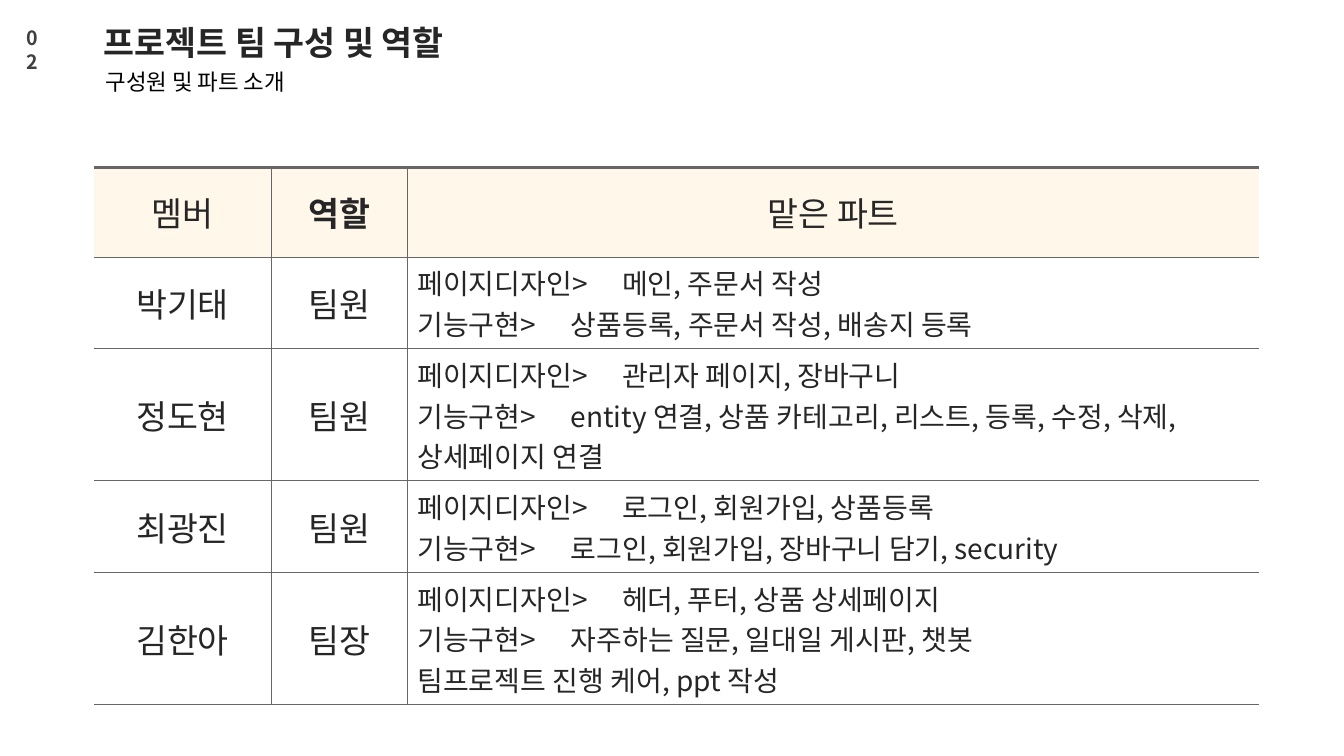
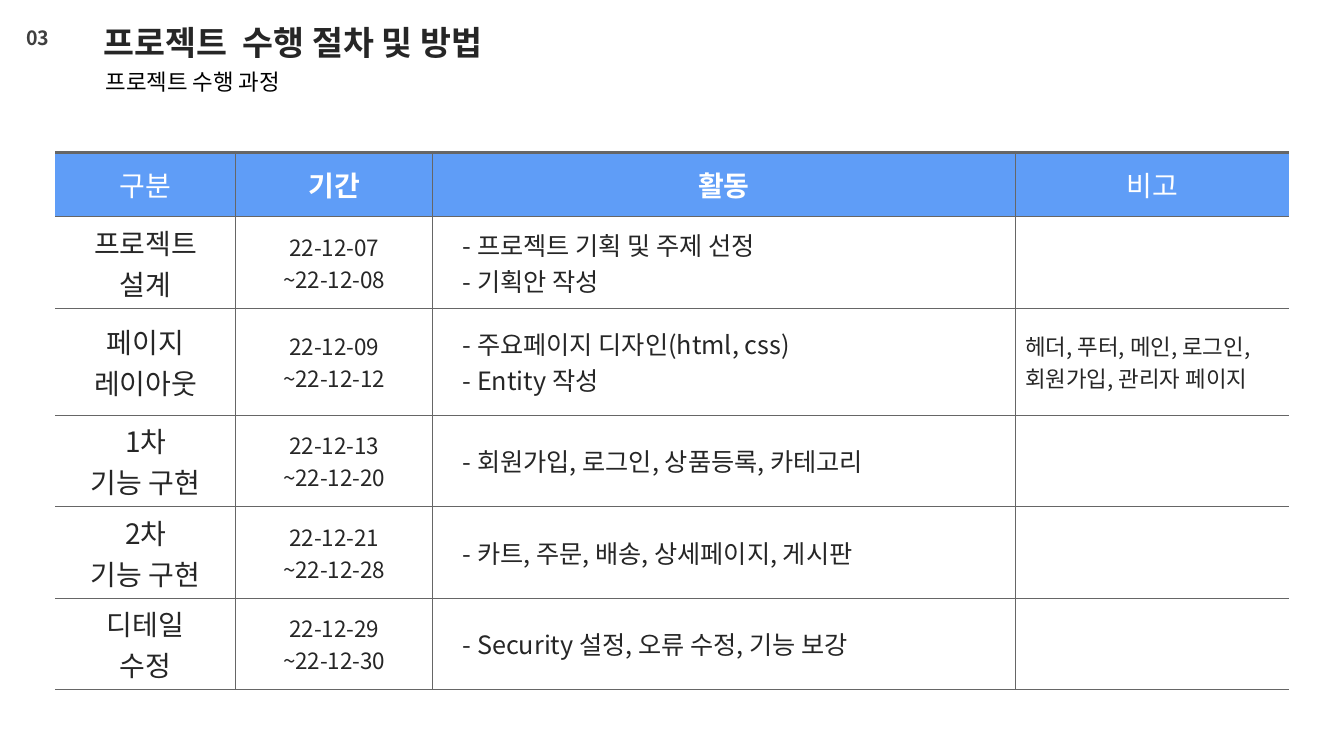
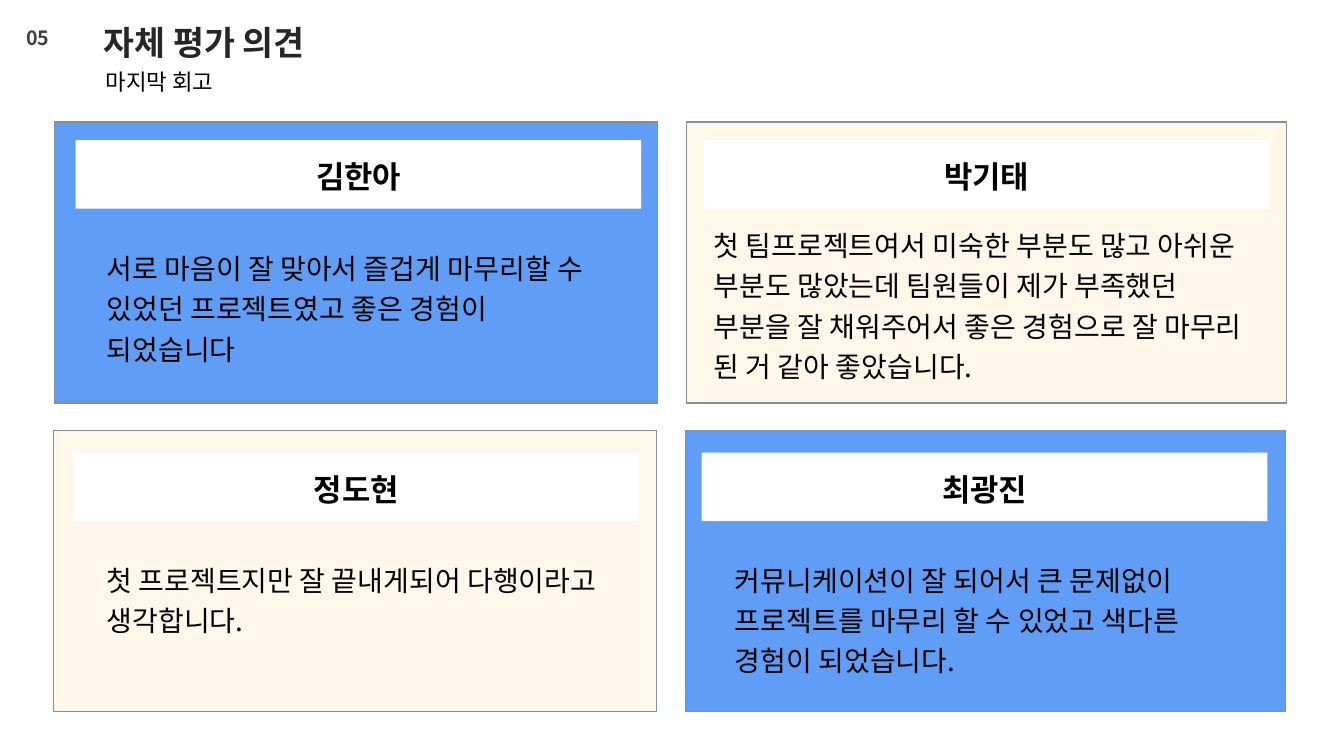
from collections import namedtuple

from lxml.etree import SubElement
from pptx import Presentation
from pptx.dml.color import RGBColor
from pptx.enum.shapes import MSO_SHAPE
from pptx.enum.text import MSO_ANCHOR, MSO_AUTO_SIZE, PP_ALIGN
from pptx.oxml.ns import qn
from pptx.util import Inches, Pt

COLOURS = {
    "blue": "5F9DF7",
    "cream": "FFF7E9",
    "white": "FFFFFF",
    "black": "000000",
    "ink": "262626",
    "grey": "3F3F3F",
    "rule": "666666",
    "frame": "83909A",
}
FONT = "Noto Sans CJK KR"
WIDTH, HEIGHT = Inches(13.33), Inches(7.5)
COLUMN, ROW = Inches(1) / 3, Inches(0.25)
LEFT, CENTRE = PP_ALIGN.LEFT, PP_ALIGN.CENTER

Box = namedtuple("Box", "left top width height")
Style = namedtuple("Style", "size colour bold align spacing", defaults=(False, LEFT, 1.0))

NUMBER = Style(14, "grey", True)
TITLE = Style(24, "ink", True)
SUBTITLE = Style(16, "black")
NAME = Style(22, "black", True, CENTRE)
COMMENT = Style(20, "black", spacing=1.2)


def colour(name):
    return RGBColor.from_string(COLOURS[name])


def place(box):
    return (round(box.left * COLUMN), round(box.top * ROW),
            round(box.width * COLUMN), round(box.height * ROW))


def inside(box, left, top, width, height):
    return Box(box.left + left, box.top + top, width, height)


def write(frame, lines, style, indent=0, tabs=()):
    frame.text = "\n".join(lines)
    for para in frame.paragraphs:
        properties = para._p.get_or_add_pPr()
        if indent:
            properties.set("marL", str(Inches(indent)))
            properties.set("indent", "0")
        para.alignment, para.line_spacing = style.align, style.spacing
        if tabs:
            stops = SubElement(properties, qn("a:tabLst"))
            for stop in tabs:
                SubElement(stops, qn("a:tab"), pos=str(Inches(stop)), algn="l")
        for span in para.runs:
            values = {"size": Pt(style.size), "bold": style.bold, "name": FONT}
            for key, value in values.items():
                setattr(span.font, key, value)
            span.font.color.rgb = colour(style.colour)
            span_properties = span._r.get_or_add_rPr()
            span_properties.set("kern", "0")
            SubElement(span_properties, qn("a:ea"), typeface=FONT)


def add_text(page, box, words, style):
    label = page.shapes.add_textbox(*place(box))
    label.text_frame.word_wrap = True
    write(label.text_frame, [words], style)


def add_panel(page, box, fill, line=None):
    panel = page.shapes.add_shape(MSO_SHAPE.RECTANGLE, *place(box))
    panel.shadow.inherit = False
    panel.fill.solid()
    panel.fill.fore_color.rgb = colour(fill)
    if line:
        panel.line.color.rgb = colour(line)
        panel.line.width = Pt(1)
    else:
        panel.line.fill.background()
    return panel


def add_page(deck, number, title, subtitle, number_box, title_width, subtitle_width):
    page = deck.slides.add_slide(deck.slide_layouts[5])
    heading = page.shapes.title
    values = dict(zip(("left", "top", "width", "height"),
                      place(Box(2.79, 0.68, title_width, 2))))
    for key, value in values.items():
        setattr(heading, key, value)
    frame = heading.text_frame
    values = {"auto_size": MSO_AUTO_SIZE.NONE, "vertical_anchor": MSO_ANCHOR.TOP,
              "word_wrap": True}
    for key, value in values.items():
        setattr(frame, key, value)
    write(frame, [title], TITLE)
    add_text(page, number_box, number, NUMBER)
    add_text(page, Box(2.85, 2.52, subtitle_width, 1.48), subtitle, SUBTITLE)
    return page


def add_borders(cell, widths):
    properties = cell._tc.get_or_add_tcPr()
    for index, (side, width) in enumerate(widths.items()):
        line = SubElement(properties, qn("a:ln" + side), w=str(Pt(width)))
        if width:
            fill = SubElement(line, qn("a:solidFill"))
            SubElement(fill, qn("a:srgbClr"), val=COLOURS["rule"])
        else:
            SubElement(line, qn("a:noFill"))
        properties.insert(index, line)


def add_grid(page, left, top, widths, heights, rows, header_fill, header, styles, formats):
    box = Box(left, top, sum(widths), sum(heights))
    table = page.shapes.add_table(len(rows), len(widths), *place(box)).table
    table.first_row = table.horz_banding = False
    for column, width in zip(table.columns, widths):
        column.width = round(width * COLUMN)
    for row, height in zip(table.rows, heights):
        row.height = round(height * ROW)
    last = len(widths) - 1
    for r, row in enumerate(rows):
        for c, words in enumerate(row):
            cell = table.cell(r, c)
            cell.vertical_anchor = MSO_ANCHOR.MIDDLE
            cell.fill.solid()
            cell.fill.fore_color.rgb = colour("white" if r else header_fill)
            add_borders(cell, {"L": 0.75 if c else 0, "R": 0.75 if c < last else 0,
                               "T": 0.75 if r else 2.25, "B": 0.75})
            if r:
                write(cell.text_frame, words.split("\n"), styles[c], **formats.get(c, {}))
            else:
                write(cell.text_frame, [words], header._replace(bold=0 < c < last))


def add_review(page, box, fill, name, words, band_offset, comment_offset, comment_size):
    add_panel(page, box, fill, "frame")
    band = add_panel(page, inside(box, *band_offset, 16.83, 2.72), "white")
    band.text_frame.margin_top = Inches(0.09)
    band.text_frame.vertical_anchor = MSO_ANCHOR.MIDDLE
    write(band.text_frame, [name], NAME)
    add_text(page, inside(box, *comment_offset, *comment_size), words, COMMENT)


def build_team(deck):
    page = add_page(deck, "02", "프로젝트 팀 구성 및 역할", "구성원 및 파트 소개",
                    Box(0.48, 0.84, 1.26, 2.28), 10.98, 9.03)
    rows = [
        ("멤버", "역할", "맡은 파트"),
        ("박기태", "팀원", "페이지디자인>\t메인, 주문서 작성\n"
                        "기능구현>\t상품등록, 주문서 작성, 배송지 등록"),
        ("정도현", "팀원", "페이지디자인>\t관리자 페이지, 장바구니\n"
                        "기능구현>\tentity 연결, 상품 카테고리, 리스트, 등록, 수정, 삭제, 상세페이지 연결"),
        ("최광진", "팀원", "페이지디자인>\t로그인, 회원가입, 상품등록\n"
                        "기능구현>\t로그인, 회원가입, 장바구니 담기, security"),
        ("김한아", "팀장", "페이지디자인>\t헤더, 푸터, 상품 상세페이지\n"
                        "기능구현>\t자주하는 질문, 일대일 게시판, 챗봇\n"
                        "팀프로젝트 진행 케어, ppt 작성"),
    ]
    member = Style(24, "ink", align=CENTRE)
    two_lines, three_lines = 3.64, 5.24
    heights = [3.56] + [two_lines, three_lines] * 2
    add_grid(page, 2.79, 6.64, [5.28, 4.05, 25.35], heights, rows, "cream", member,
             [member, member, Style(20, "ink")], {2: {"tabs": (1.52, 2.03)}})


def build_schedule(deck):
    page = add_page(deck, "03", "프로젝트  수행 절차 및 방법", "프로젝트 수행 과정",
                    Box(0.48, 0.84, 2.37, 1.36), 12.9, 9.03)
    rows = [
        ("구분", "기간", "활동", "비고"),
        ("프로젝트 설계", "22-12-07\n~22-12-08", "- 프로젝트 기획 및 주제 선정\n- 기획안 작성", ""),
        ("페이지\n레이아웃", "22-12-09\n~22-12-12", "- 주요페이지 디자인(html, css)\n- Entity 작성",
         "헤더, 푸터, 메인, 로그인,\n회원가입, 관리자 페이지"),
        ("1차\n기능 구현", "22-12-13\n~22-12-20", "- 회원가입, 로그인, 상품등록, 카테고리", ""),
        ("2차\n기능 구현", "22-12-21\n~22-12-28", "- 카트, 주문, 배송, 상세페이지, 게시판", ""),
        ("디테일\n수정", "22-12-29\n~22-12-30", "- Security 설정, 오류 수정, 기능 보강", ""),
    ]
    styles = [Style(20, "ink", align=CENTRE), Style(16, "ink", align=CENTRE),
              Style(18, "ink"), Style(16, "ink")]
    heights = [2.56, 3.63, 4.25] + [3.63] * 3
    add_grid(page, 1.65, 6.04, [5.37, 5.85, 17.34, 8.16], heights, rows,
             "blue", Style(20, "white", align=CENTRE), styles, {2: {"indent": 0.2}})


def build_reviews(deck):
    page = add_page(deck, "05", "자체 평가 의견", "마지막 회고",
                    Box(0.48, 0.84, 2.34, 1.36), 7.86, 17.97)
    reviews = [
        ("blue", "김한아", "서로 마음이 잘 맞아서 즐겁게 마무리할 수 있었던 프로젝트였고 좋은 경험이 되었습니다",
         (1.26, 4.68), (15.48, 5.24)),
        ("cream", "박기태", "첫 팀프로젝트여서 미숙한 부분도 많고 아쉬운 부분도 많았는데 팀원들이 제가 부족했던 "
         "부분을 잘 채워주어서 좋은 경험으로 잘 마무리 된 거 같아 좋았습니다.",
         (0.51, 3.76), (16.77, 8.48)),
        ("cream", "정도현", "첫 프로젝트지만 잘 끝내게되어 다행이라고 생각합니다.",
         (1.29, 4.8), (15.48, 3.64)),
        ("blue", "최광진", "커뮤니케이션이 잘 되어서 큰 문제없이 프로젝트를 마무리 할 수 있었고 색다른 경험이 되었습니다.",
         (1.17, 4.8), (15.48, 5.24)),
    ]
    for index, (fill, name, words, offset, size) in enumerate(reviews):
        row, column = divmod(index, 2)
        box = Box(1.62 + 18.81 * column - 0.03 * row, 4.84 + 12.24 * row,
                  17.94 - 0.09 * column, 11.16)
        band_offset = (0.63 - 0.12 * column - 0.03 * row, 0.72 + 0.16 * row)
        add_review(page, box, fill, name, words, band_offset, offset, size)


def main():
    deck = Presentation()
    deck.slide_width, deck.slide_height = WIDTH, HEIGHT
    for build in (build_team, build_schedule, build_reviews):
        build(deck)
    deck.save("out.pptx")


if __name__ == "__main__":
    main()
